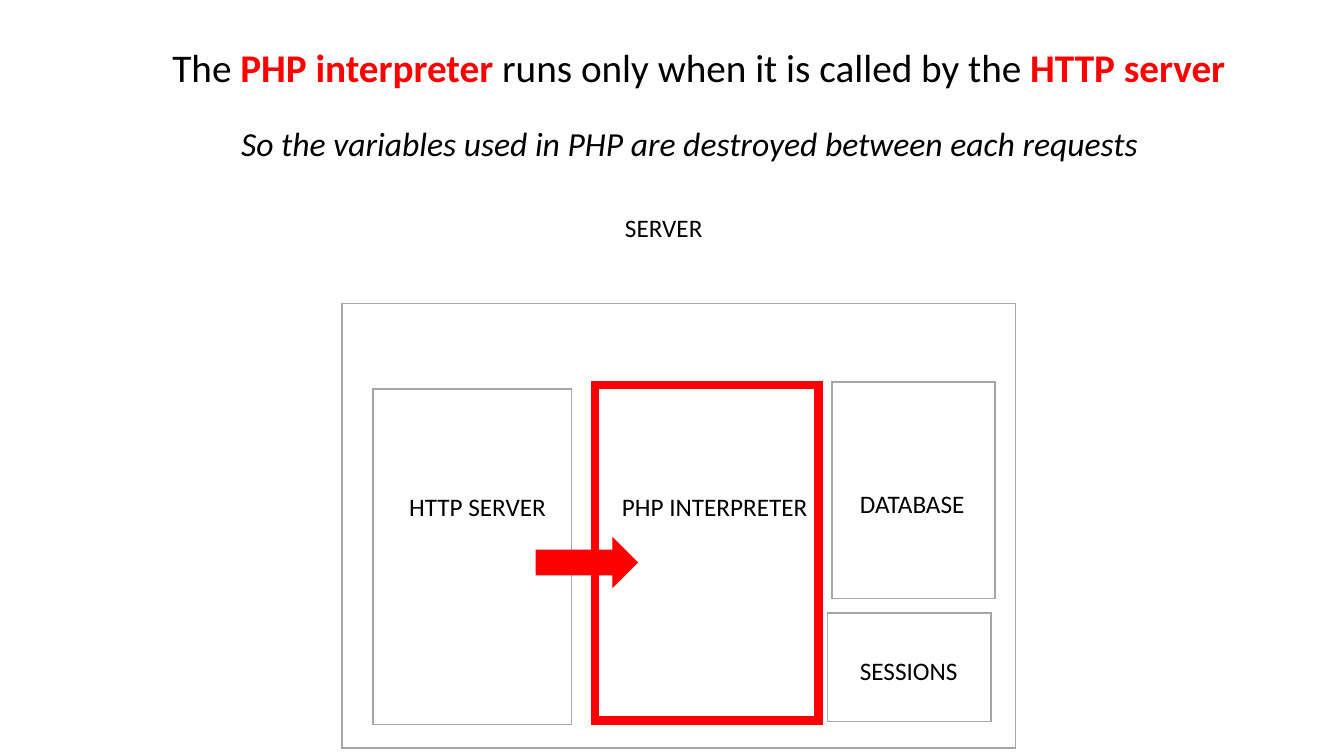
from dataclasses import dataclass
from lxml.etree import SubElement
from pptx import Presentation
from pptx.dml.color import RGBColor
from pptx.enum.shapes import MSO_SHAPE as Preset
from pptx.enum.text import MSO_ANCHOR as Anchor, MSO_AUTO_SIZE as AutoSize, PP_ALIGN as Align
from pptx.oxml.ns import qn
from pptx.util import Inches, Pt


@dataclass(frozen=True)
class Theme:
    font: str = "Calibri"
    black: RGBColor = RGBColor(0, 0, 0)
    white: RGBColor = RGBColor(255, 255, 255)
    red: RGBColor = RGBColor(255, 0, 0)
    grey: RGBColor = RGBColor(0xA6, 0xA6, 0xA6)
    title_size: Pt = Pt(28)
    subtitle_size: Pt = Pt(24)
    label_size: Pt = Pt(18)


theme = Theme()
deck = Presentation()
deck.slide_width, deck.slide_height = Inches(13.33), Inches(7.5)
slide = deck.slides.add_slide(deck.slide_layouts[5])


def add_block(preset, left, top, width, height, fill, outline, weight):
    block = slide.shapes.add_shape(preset, Inches(left), Inches(top), Inches(width), Inches(height))
    block.shadow.inherit = False
    if fill is None:
        block.fill.background()
    else:
        block.fill.solid()
        block.fill.fore_color.rgb = fill
    block.line.color.rgb = outline
    block.line.width = Pt(weight)
    SubElement(block.element.spPr.get_or_add_ln(), qn("a:miter"), lim="800000")


def add_line_of_text(text, left, top, width, height, size, wrap):
    box = slide.shapes.add_textbox(Inches(left), Inches(top), Inches(width), Inches(height))
    box.text_frame.word_wrap = wrap
    box.text_frame.auto_size = AutoSize.SHAPE_TO_FIT_TEXT
    paragraph = box.text_frame.paragraphs[0]
    paragraph.text = text
    paragraph.font.name = theme.font
    paragraph.font.size = size
    paragraph.font.color.rgb = theme.black
    return paragraph


headline = slide.shapes.title
headline.left, headline.top = Inches(1.61), Inches(0.38)
headline.width, headline.height = Inches(10.81), Inches(0.57)
headline.text_frame.word_wrap = True
headline.text_frame.auto_size = AutoSize.SHAPE_TO_FIT_TEXT
headline.text_frame.vertical_anchor = Anchor.TOP
statement = headline.text_frame.paragraphs[0]
statement.alignment = Align.LEFT
statement.font.name = theme.font
statement.font.size = theme.title_size
for words, is_key in [
    ("The ", False),
    ("PHP interpreter ", True),
    ("runs only when it is called by the ", False),
    ("HTTP server", True),
]:
    run = statement.add_run()
    run.text = words
    run.font.bold = is_key
    run.font.color.rgb = theme.red if is_key else theme.black

consequence = add_line_of_text(
    "So the variables used in PHP are destroyed between each requests",
    2.05, 1.17, 9.58, 0.5, theme.subtitle_size, True)
consequence.alignment = Align.CENTER
consequence.font.italic = True

for left, top, width, height, fill, outline, weight in [
    (3.39, 3.01, 6.68, 4.41, theme.white, theme.grey, 1),
    (3.7, 3.86, 1.97, 3.33, None, theme.grey, 1),
    (5.9, 3.82, 2.22, 3.33, None, theme.red, 6),
    (8.25, 3.79, 1.62, 2.15, None, theme.grey, 1),
    (8.21, 6.08, 1.62, 1.08, None, theme.grey, 1),
]:
    add_block(Preset.RECTANGLE, left, top, width, height, fill, outline, weight)

for label, left, top, width in [
    ("SERVER", 6.1, 2.06, 0.98),
    ("HTTP SERVER", 3.96, 4.83, 1.57),
    ("PHP INTERPRETER", 6.07, 4.83, 2.06),
    ("DATABASE", 8.43, 4.8, 1.25),
    ("SESSIONS", 8.43, 6.45, 1.18),
]:
    add_line_of_text(label, left, top, width, 0.4, theme.label_size, False)

add_block(Preset.RIGHT_ARROW, 5.32, 5.34, 1, 0.48, theme.red, theme.red, 1)

deck.save("out.pptx")
